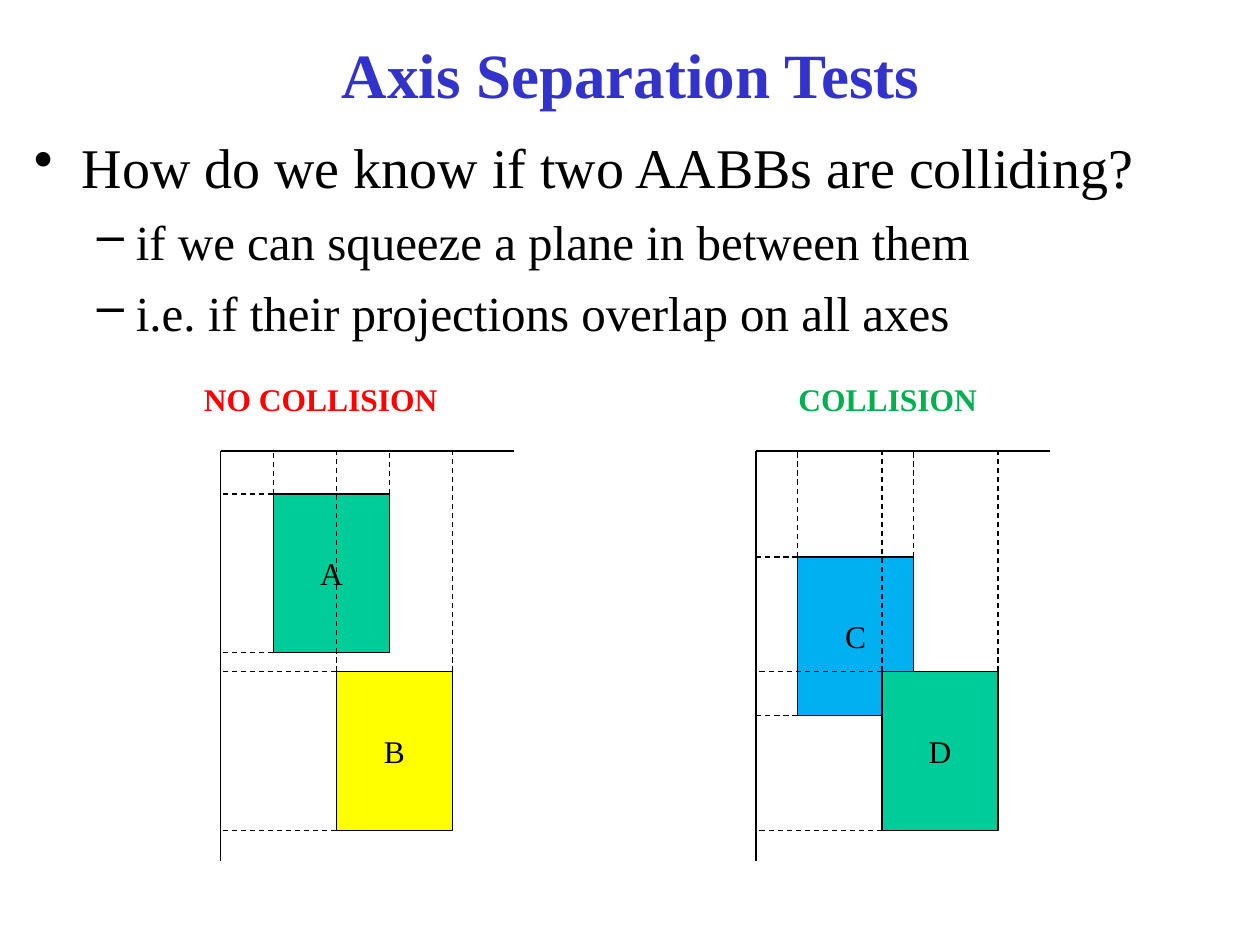
import pptx
import pptx.dml.color
import pptx.enum.dml
import pptx.enum.shapes
import pptx.enum.text
import pptx.oxml.ns
import pptx.util
from lxml import etree

Inches, Pt = pptx.util.Inches, pptx.util.Pt
ALIGN = pptx.enum.text.PP_ALIGN
ANCHOR = pptx.enum.text.MSO_ANCHOR
FONT = "Times New Roman"
BLACK = "000000"

TITLE = "Axis Separation Tests"
BULLETS = [  # text, level
    ("How do we know if two AABBs are colliding?", 0),
    ("if we can squeeze a plane in between them", 1),
    ("i.e. if their projections overlap on all axes", 1),
]
LEVELS = [  # bullet, size, space before, text indent, hanging indent
    ("•", 32, 8, 0.38, 0.38),
    ("–", 28, 7, 0.81, 0.31),
]
DIAGRAMS = [  # caption, caption colour, caption left, axis left, boxes (name, fill, left, top)
    ("NO COLLISION", "FF0000", 0.42, 1.75,
     [("A", "00CC99", 2.17, 3.92), ("B", "FFFF00", 2.67, 5.33)]),
    ("COLLISION", "00B050", 4.92, 6,
     [("C", "00B0F0", 6.33, 4.42), ("D", "00CC99", 7, 5.33)]),
]
AXIS_TOP, AXIS_BOTTOM, AXIS_LENGTH = 3.58, 6.83, 2.33
BOX_WIDTH, BOX_HEIGHT = 0.92, 1.26


def color(value):
    return pptx.dml.color.RGBColor.from_string(value)


def add_run(paragraph, text, size, ink=BLACK, bold=False):
    run = paragraph.add_run()
    run.text = text
    run.font.name, run.font.size, run.font.bold = FONT, Pt(size), bold
    run.font.color.rgb = color(ink)


def add_frame(slide, left, top, width, height):
    frame = slide.shapes.add_textbox(
        Inches(left), Inches(top), Inches(width), Inches(height)).text_frame
    frame.word_wrap = True
    return frame


def add_bullet(paragraph, text, level):
    mark, size, before, indent, hanging = LEVELS[level]
    paragraph.level = level
    paragraph.space_before = Pt(before)
    properties = paragraph._p.get_or_add_pPr()
    properties.set("marL", str(Inches(indent)))
    properties.set("indent", str(-Inches(hanging)))
    bullet = etree.SubElement(properties, pptx.oxml.ns.qn("a:buChar"))
    bullet.set("char", mark)
    add_run(paragraph, text, size)


def add_line(slide, x1, y1, x2, y2, weight=0.75, dashed=False):
    line = slide.shapes.add_connector(
        pptx.enum.shapes.MSO_CONNECTOR.STRAIGHT,
        Inches(x1), Inches(y1), Inches(x2), Inches(y2))
    line.line.color.rgb = color(BLACK)
    line.line.width = Pt(weight)
    if dashed:
        line.line.dash_style = pptx.enum.dml.MSO_LINE.DASH
    etree.SubElement(line._element.spPr, pptx.oxml.ns.qn("a:effectLst"))


def add_box(slide, name, fill, left, top):
    box = slide.shapes.add_shape(
        pptx.enum.shapes.MSO_SHAPE.RECTANGLE,
        Inches(left), Inches(top), Inches(BOX_WIDTH), Inches(BOX_HEIGHT))
    box.shadow.inherit = False
    box.fill.solid()
    box.fill.fore_color.rgb = color(fill)
    box.line.color.rgb = color(BLACK)
    box.line.width = Pt(0.75)
    box.text_frame.vertical_anchor = ANCHOR.MIDDLE
    label = box.text_frame.paragraphs[0]
    label.alignment = ALIGN.CENTER
    add_run(label, name, 18)


def add_projections(slide, axis_left, left, top):
    """Dashed lines from the box edges to both axes."""
    for y in (top, top + BOX_HEIGHT):
        add_line(slide, left, y, axis_left, y, dashed=True)
    for x in (left, left + BOX_WIDTH):
        add_line(slide, x, top, x, AXIS_TOP, dashed=True)


def add_diagram(slide, caption, ink, caption_left, axis_left, boxes):
    add_line(slide, axis_left, AXIS_TOP, axis_left, AXIS_BOTTOM)
    add_line(slide, axis_left, AXIS_TOP, axis_left + AXIS_LENGTH, AXIS_TOP, weight=1)
    for box in boxes:
        add_box(slide, *box)
    for _, _, left, top in boxes:
        add_projections(slide, axis_left, left, top)
    heading = add_frame(slide, caption_left, 3, 4.25, 0.37).paragraphs[0]
    heading.alignment = ALIGN.CENTER
    heading.line_spacing = 0.9
    add_run(heading, caption, 18, ink, bold=True)


def main():
    deck = pptx.Presentation()
    deck.slide_width, deck.slide_height = Inches(10), Inches(7.5)
    slide = deck.slides.add_slide(deck.slide_layouts[6])

    title = add_frame(slide, 0.17, 0.25, 9.67, 0.67)
    title.vertical_anchor = ANCHOR.MIDDLE
    title.paragraphs[0].alignment = ALIGN.CENTER
    add_run(title.paragraphs[0], TITLE, 36, "3333CC", bold=True)

    body = add_frame(slide, 0.17, 1, 9.67, 2.17)
    for index, (text, level) in enumerate(BULLETS):
        paragraph = body.add_paragraph() if index else body.paragraphs[0]
        add_bullet(paragraph, text, level)

    for diagram in DIAGRAMS:
        add_diagram(slide, *diagram)
    deck.save("out.pptx")


if __name__ == "__main__":
    main()
